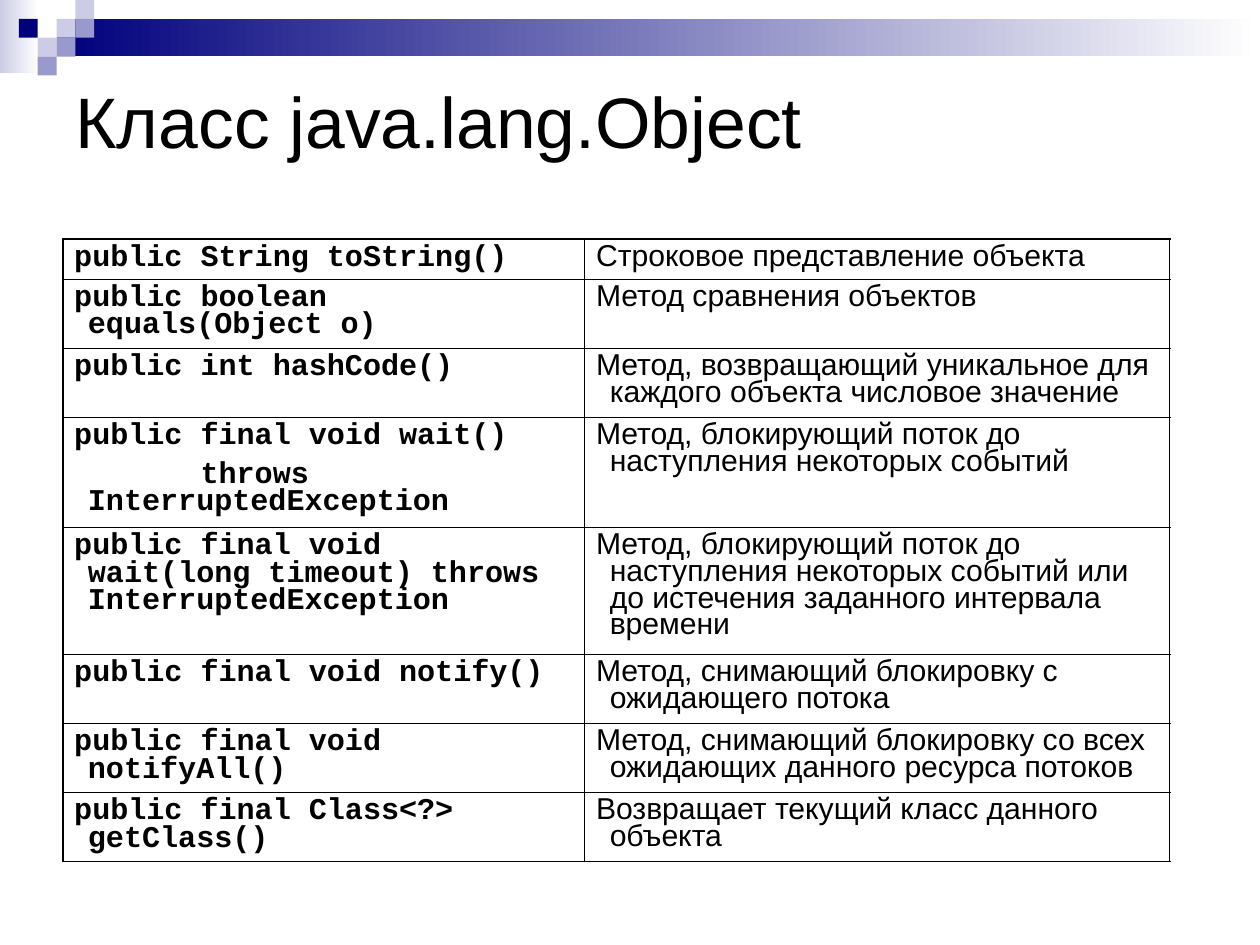
"""Builds the slide that lists the methods of java.lang.Object."""
from lxml.etree import SubElement
from pptx import Presentation
from pptx.dml.color import RGBColor
from pptx.enum.shapes import MSO_SHAPE as Shape
from pptx.enum.text import MSO_ANCHOR as Anchor, PP_ALIGN as Align
from pptx.oxml.ns import qn
from pptx.util import Inches, Pt

COLORS = {"ink": "000000", "navy": "00007D", "mid": "9999CC", "pale": "CCCCE6", "paper": "FFFFFF"}
SQUARES = [(3, 1, "pale"), (4, 0, "pale"), (4, 1, "mid"), (2, 2, "pale"),
           (1, 1, "navy"), (3, 2, "mid"), (2, 3, "mid")]
METHODS = [
    (2.12, ["public String toString()"], "Строковое представление объекта"),
    (3.67, ["public boolean equals(Object o)"], "Метод сравнения объектов"),
    (3.67, ["public int hashCode()"],
     "Метод, возвращающий уникальное для каждого объекта числовое значение"),
    (5.83, ["public final void wait()", "       throws InterruptedException"],
     "Метод, блокирующий поток до наступления некоторых событий"),
    (6.72, ["public final void wait(long timeout) throws InterruptedException"],
     "Метод, блокирующий поток до наступления некоторых событий "
     "или до истечения заданного интервала времени"),
    (3.67, ["public final void notify()"], "Метод, снимающий блокировку с ожидающего потока"),
    (3.67, ["public final void notifyAll()"],
     "Метод, снимающий блокировку со всех ожидающих данного ресурса потоков"),
    (3.67, ["public final Class<?> getClass()"], "Возвращает текущий класс данного объекта"),
]


def rgb(name):
    """Return the named palette colour."""
    return RGBColor.from_string(COLORS[name])


def write(p, text, size=19, font="Arial", bold=False, spacing=0.8, before=0, hang=0):
    """Fill a paragraph with one formatted run."""
    p.alignment, p.line_spacing, p.space_before = Align.LEFT, spacing, Pt(before)
    pPr = p._p.get_or_add_pPr()
    pPr.set("marL", str(Inches(hang)))
    pPr.set("indent", str(-Inches(hang)))
    r = p.add_run()
    r.text = text
    r.font.size, r.font.name, r.font.bold = Pt(size), font, bold
    r.font.color.rgb = rgb("ink")


class Deck:
    """Holds the grid, the presentation and the current slide."""

    unit = 0.165
    thin, thick = 0.45, 1.08

    def __init__(self):
        """Open a presentation with one title-only slide."""
        self.prs = Presentation()
        self.prs.slide_width, self.prs.slide_height = Pt(793.75), Pt(595.25)
        self.s = self.prs.slides.add_slide(self.prs.slide_layouts[5])

    def grid(self, *cells):
        """Turn grid cells into lengths."""
        return [Inches(c * self.unit) for c in cells]

    def rect(self, col, row, width, height, color, fade=False):
        """Add a plain rectangle, or one fading to the right."""
        sp = self.s.shapes.add_shape(Shape.RECTANGLE, *self.grid(col, row, width, height))
        sp.shadow.inherit = False
        sp.line.fill.background()
        if fade:
            sp.fill.gradient()
            sp.fill.gradient_angle = 0
            for stop, name, place in zip(sp.fill.gradient_stops, (color, "paper"), (0, 1)):
                stop.color.rgb, stop.position = rgb(name), place
        else:
            sp.fill.solid()
            sp.fill.fore_color.rgb = rgb(color)

    def title(self, text, col, row, width, height):
        """Place and fill the title placeholder."""
        sp = self.s.shapes.title
        sp.left, sp.top, sp.width, sp.height = self.grid(col, row, width, height)
        tf = sp.text_frame
        tf.word_wrap, tf.vertical_anchor = True, Anchor.MIDDLE
        tf.margin_left = tf.margin_right = Inches(0.11)
        tf.margin_top = tf.margin_bottom = Inches(0.06)
        write(tf.paragraphs[0], text, size=45, spacing=0.95)

    def borders(self, cell, outer):
        """Draw the cell's borders, thick on the table's outer sides."""
        tcPr = cell._tc.get_or_add_tcPr()
        for side in "LRTB":
            width = Pt(self.thick if side in outer else self.thin)
            ln = SubElement(tcPr, qn(f"a:ln{side}"), w=str(width))
            SubElement(SubElement(ln, qn("a:solidFill")), qn("a:srgbClr"), val=COLORS["ink"])

    def cell(self, cell, lines, outer, right=0.1, **fmt):
        """Fill and format one table cell."""
        self.borders(cell, outer)
        cell.fill.background()
        cell.margin_left, cell.margin_right = Inches(0.1), Inches(right)
        cell.margin_top = cell.margin_bottom = Inches(0.05)
        tf = cell.text_frame
        for i, line in enumerate(lines):
            p = tf.add_paragraph() if i else tf.paragraphs[0]
            write(p, line, before=7 if i else 0, hang=0.12, **fmt)

    def table(self, methods, col, row, widths):
        """Add the table of methods and their meanings."""
        heights = [m[0] for m in methods]
        box = self.grid(col, row, sum(widths), sum(heights))
        tbl = self.s.shapes.add_table(len(methods), len(widths), *box).table
        tbl.first_row = tbl.horz_banding = False
        for column, width in zip(tbl.columns, self.grid(*widths)):
            column.width = width
        for i, (height, code, meaning) in enumerate(methods):
            tbl.rows[i].height = self.grid(height)[0]
            edge = "T" * (i == 0) + "B" * (i == len(methods) - 1)
            self.cell(tbl.cell(i, 0), code, "L" + edge, right=0.25, font="Courier New", bold=True)
            self.cell(tbl.cell(i, 1), [meaning], "R" + edge)


def main():
    """Compose and save the slide."""
    deck = Deck()
    deck.rect(0, 0, 2.06, 3.88, "pale", fade=True)
    deck.rect(3.03, 1, 63.76, 2, "navy", fade=True)
    for col, row, color in SQUARES:
        deck.rect(col, row, 1, 1, color)
    deck.title("Класс java.lang.Object", 3.33, 4.04, 60.12, 5.09)
    deck.table(METHODS, 3.33, 12.67, (27.67, 31.03))
    deck.prs.save("out.pptx")


if __name__ == "__main__":
    main()
